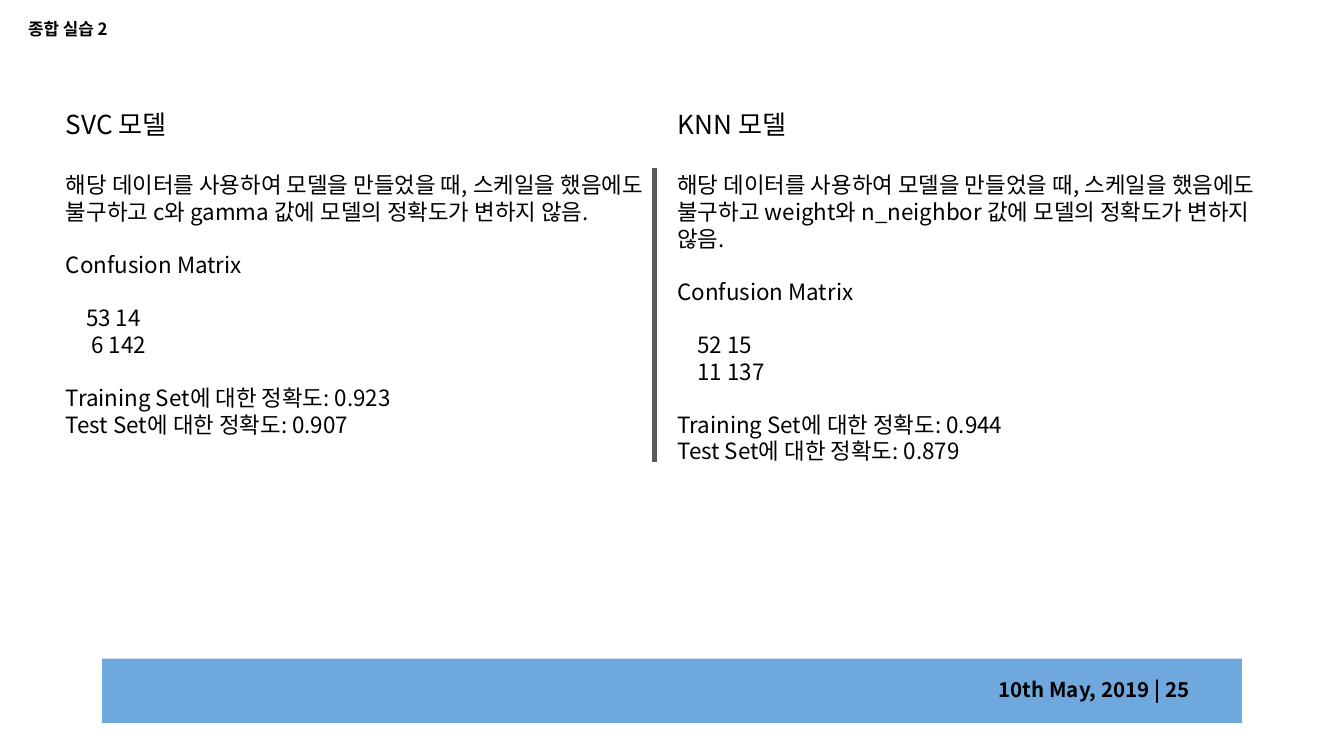
"""Build a slide comparing the SVC and KNN models."""
import pptx
import pptx.dml.color
import pptx.enum.shapes
import pptx.enum.text
import pptx.util
from pptx.util import Inches, Pt
from lxml import etree

theme = {
    "font": "Noto Sans CJK KR",
    "text": pptx.dml.color.RGBColor.from_string("000000"),
    "bar": pptx.dml.color.RGBColor.from_string("6FA8DC"),
    "rule": pptx.dml.color.RGBColor.from_string("595959"),
    "title": 9, "date": 11, "head": 14, "body": 12,
}
align = pptx.enum.text.PP_ALIGN
space = "http://schemas.openxmlformats.org/drawingml/2006/main"


def place(box, left, top, width, height):
    box.left, box.top = Inches(left), Inches(top)
    box.width, box.height = Inches(width), Inches(height)
    frame = box.text_frame
    frame.word_wrap = True
    frame.auto_size = pptx.enum.text.MSO_AUTO_SIZE.NONE
    frame.vertical_anchor = pptx.enum.text.MSO_ANCHOR.TOP
    frame.margin_left = frame.margin_right = Inches(0.1)
    frame.margin_top = frame.margin_bottom = Inches(0.1)
    return frame


def style(line, size, bold=False, side=align.LEFT):
    line.alignment = side
    for run in line.runs:
        run.font.size = Pt(size)
        run.font.bold = bold
        run.font.color.rgb = theme["text"]
        run.font.name = theme["font"]
        east = etree.SubElement(run.font._element, f"{{{space}}}ea")
        east.set("typeface", theme["font"])


deck = pptx.Presentation()
deck.slide_width, deck.slide_height = Inches(10), Inches(10 * 9 / 16)
slide = deck.slides.add_slide(deck.slide_layouts[3])
shapes = slide.shapes

bar = shapes.add_shape(
    pptx.enum.shapes.MSO_SHAPE.RECTANGLE,
    Inches(0.76), Inches(4.9), Inches(8.48), Inches(0.48))
bar.shadow.inherit = False
bar.fill.solid()
bar.fill.fore_color.rgb = theme["bar"]
bar.line.fill.background()

frame = place(shapes.title, 0.11, 0.04, 1.43, 0.39)
frame.text = "종합 실습 2"
style(frame.paragraphs[0], theme["title"], True)

date = shapes.add_textbox(0, 0, 0, 0)
frame = place(date, 6.95, 4.94, 2, 0.39)
frame.text = "10th May, 2019 | 25"
style(frame.paragraphs[0], theme["date"], True, align.RIGHT)

models = [
    (1, 0.39, "SVC", "c와 gamma", ["53 14", "6 142"], "0.923", "0.907"),
    (2, 4.94, "KNN", "weight와 n_neighbor", ["52 15", "11 137"], "0.944", "0.879"),
]
gaps = {1: 16.5, 2: 14, 3: 14, 5: 14}
for slot, left, name, knobs, rows, train, test in models:
    frame = place(slide.placeholders[slot], left, 0.71, 4.67, 0.54)
    frame.text = "\n".join([
        f"{name} 모델",
        "해당 데이터를 사용하여 모델을 만들었을 때, 스케일을 했음에도 불구하고 "
        f"{knobs} 값에 모델의 정확도가 변하지 않음.",
        "Confusion Matrix",
        *rows,
        f"Training Set에 대한 정확도: {train}",
        f"Test Set에 대한 정확도: {test}",
    ])
    for index, line in enumerate(frame.paragraphs):
        inset = 0
        if line.text in rows:
            inset = 0.19 if line.text.index(" ") == 1 else 0.15
        line.space_before = Pt(gaps.get(index, 0))
        props = line._p.get_or_add_pPr()
        props.set("marL", str(Inches(inset)))
        props.set("indent", "0")
        etree.SubElement(props, f"{{{space}}}buNone")
        style(line, theme["body"] if index else theme["head"])

rule = shapes.add_connector(
    pptx.enum.shapes.MSO_CONNECTOR.STRAIGHT,
    Inches(4.87), Inches(3.44), Inches(4.87), Inches(1.25))
rule.line.color.rgb = theme["rule"]
rule.line.width = Pt(2.25)
etree.SubElement(rule._element.spPr, f"{{{space}}}effectLst")

for item in (shapes.title, date, slide.placeholders[1], slide.placeholders[2], rule):
    shapes._spTree.append(item._element)

deck.save("out.pptx")
